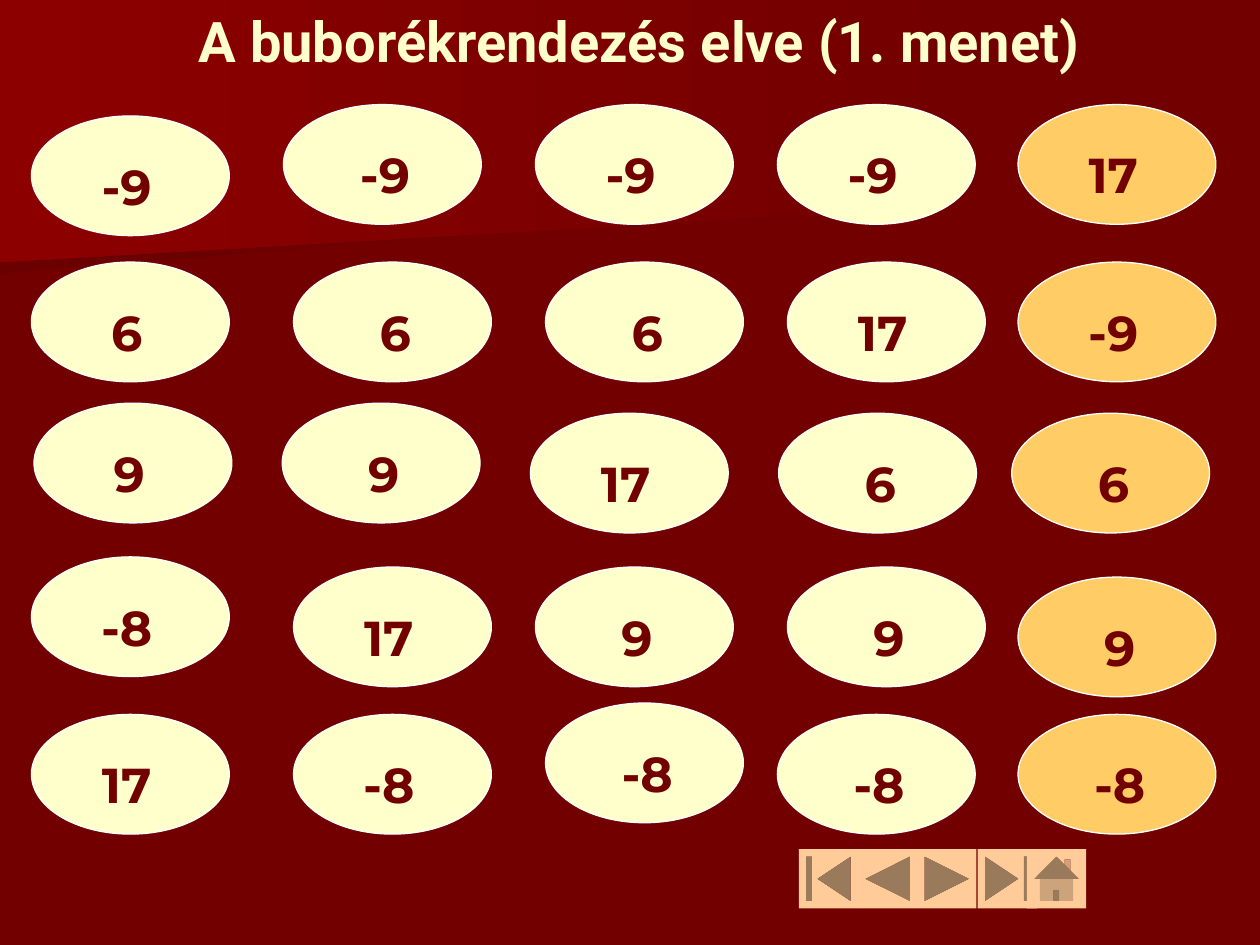
from pptx import Presentation
from pptx.dml.color import RGBColor
from pptx.enum.shapes import MSO_SHAPE
from pptx.enum.text import MSO_ANCHOR, PP_ALIGN
from pptx.util import Inches, Pt

OVAL = MSO_SHAPE.OVAL
CENTER = PP_ALIGN.CENTER
TOP = MSO_ANCHOR.TOP
BUTTONS = [
    (MSO_SHAPE.ACTION_BUTTON_BEGINNING, 6.34),
    (MSO_SHAPE.ACTION_BUTTON_BACK_OR_PREVIOUS, 6.81),
    (MSO_SHAPE.ACTION_BUTTON_FORWARD_OR_NEXT, 7.28),
    (MSO_SHAPE.ACTION_BUTTON_END, 7.76),
    (MSO_SHAPE.ACTION_BUTTON_HOME, 8.15),
]

DARK, CREAM, ORANGE, PEACH, WHITE = "720000", "FFFFCC", "FFCC66", "FFCC99", "FFFFFF"
TITLE_FORMAT = {"name": "Roboto", "size": Pt(32), "bold": True}
NUMBER_FORMAT = {"name": "Montserrat", "size": Pt(28), "bold": True}
INSET = 0.1
NUDGE = 0.1  # extra left inset that moves a number slightly right

# One list per comparison step: (number, left, top, nudged)
STEPS = [
    [("-9", 0.25, 0.92, False), ("6", 0.25, 2.08, False), ("9", 0.27, 3.2, False),
     ("-8", 0.25, 4.42, False), ("17", 0.25, 5.67, False)],
    [("-9", 2.25, 0.83, True), ("6", 2.33, 2.08, True), ("9", 2.24, 3.2, True),
     ("17", 2.33, 4.5, False), ("-8", 2.33, 5.67, False)],
    [("-9", 4.25, 0.83, False), ("6", 4.33, 2.08, True), ("17", 4.21, 3.28, False),
     ("9", 4.25, 4.5, True), ("-8", 4.33, 5.58, True)],
    [("-9", 6.17, 0.83, False), ("17", 6.25, 2.08, False), ("6", 6.18, 3.28, True),
     ("9", 6.25, 4.5, True), ("-8", 6.17, 5.67, True)],
    [("17", 8.08, 0.83, False), ("-9", 8.08, 2.08, False), ("6", 8.03, 3.28, True),
     ("9", 8.08, 4.58, True), ("-8", 8.08, 5.67, True)],
]


def rgb(value):
    return RGBColor.from_string(value)


def fill_solid(sp, color):
    sp.fill.solid()
    sp.fill.fore_color.rgb = rgb(color)


def add_gradient_panel(shapes, points, colors):
    """Draw a borderless polygon that fades from right to left."""
    corners = [(Inches(x), Inches(y)) for x, y in points]
    builder = shapes.build_freeform(*corners[0])
    builder.add_line_segments(corners[1:], close=True)
    sp = builder.convert_to_shape()
    sp.shadow.inherit = False
    sp.line.fill.background()
    sp.fill.gradient()
    sp.fill.gradient_angle = 180
    for stop, color in zip(sp.fill.gradient_stops, colors):
        stop.color.rgb = rgb(color)


def add_shape(shapes, kind, x, y, w, h, fill):
    sp = shapes.add_shape(kind, Inches(x), Inches(y), Inches(w), Inches(h))
    sp.shadow.inherit = False
    fill_solid(sp, fill)
    sp.line.fill.background()
    return sp


def add_text(shapes, text, x, y, w, h, color, font_format, nudge=0):
    sp = shapes.add_textbox(Inches(x), Inches(y), Inches(w), Inches(h))
    tf = sp.text_frame
    tf.word_wrap = True
    tf.vertical_anchor = TOP
    tf.margin_left = Inches(INSET + nudge)
    p = tf.paragraphs[0]
    p.alignment = CENTER
    r = p.add_run()
    r.text = text
    for name, value in font_format.items():
        setattr(r.font, name, value)
    r.font.color.rgb = rgb(color)
    return sp


def add_bubble(shapes, number, x, y, nudged, fill):
    """Group an ellipse with the number on it."""
    group = shapes.add_group_shape()
    oval = add_shape(group.shapes, OVAL, x, y, 1.57, 0.95, fill)
    oval.line.color.rgb = rgb(WHITE)
    oval.line.width = Pt(0.75)
    add_text(group.shapes, number, x + 0.36, y + 0.27, 0.79, 0.57,
             DARK, NUMBER_FORMAT, NUDGE if nudged else 0)


def main():
    prs = Presentation()
    prs.slide_width, prs.slide_height = Inches(10), Inches(7.5)
    s = prs.slides.add_slide(prs.slide_layouts[6])
    fill_solid(s.background, DARK)

    add_gradient_panel(s.shapes, [(7.78, 1.53), (0, 2.17), (0, 1.01), (7.79, 1.01)],
                       (DARK, "6A0000"))
    add_gradient_panel(s.shapes, [(7.92, 1.62), (0, 2.08), (0, 0), (7.92, 0)],
                       (DARK, "8C0000"))
    for kind, x in BUTTONS:
        add_shape(s.shapes, kind, x, 6.74, 0.47, 0.47, PEACH)

    add_text(s.shapes, "A buborékrendezés elve (1. menet)", 0.9, 0, 8.35, 0.64,
             CREAM, TITLE_FORMAT)
    for step in STEPS:
        fill = ORANGE if step is STEPS[-1] else CREAM
        for number, x, y, nudged in step:
            add_bubble(s.shapes, number, x, y, nudged, fill)

    prs.save("out.pptx")


if __name__ == "__main__":
    main()
